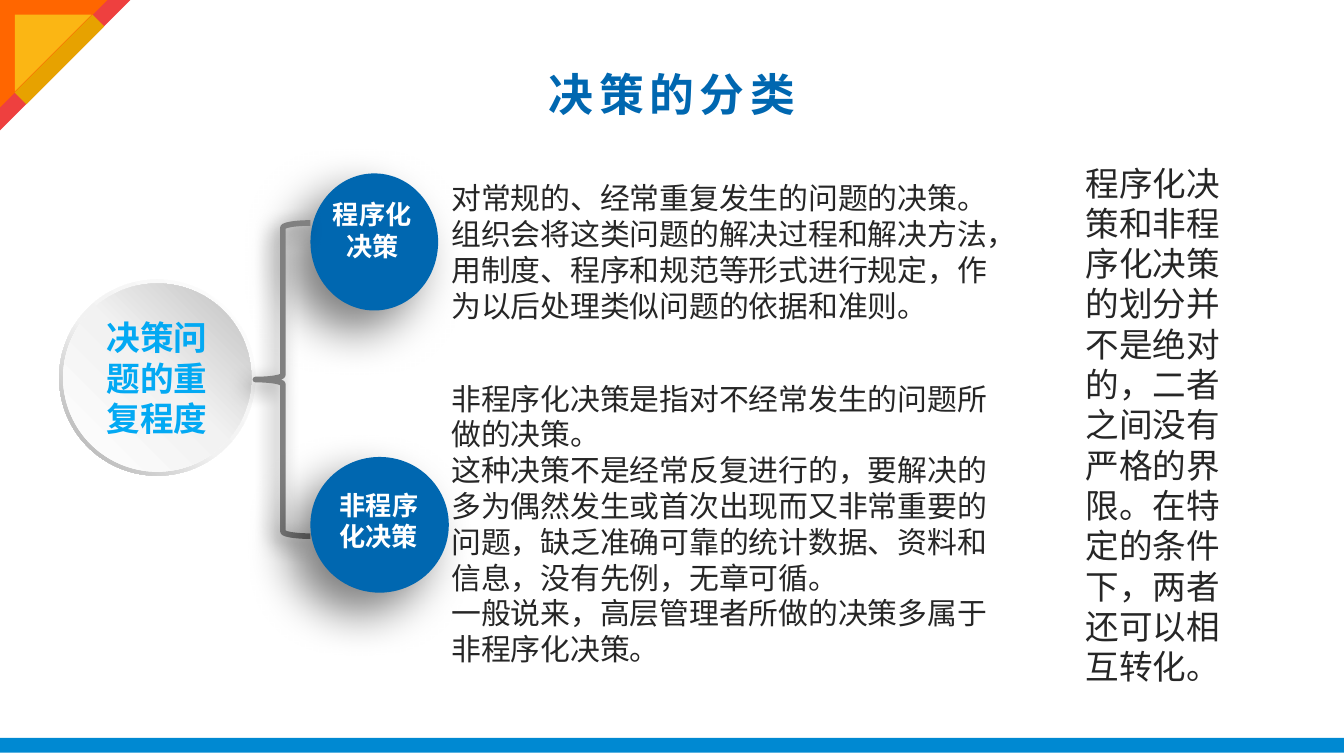
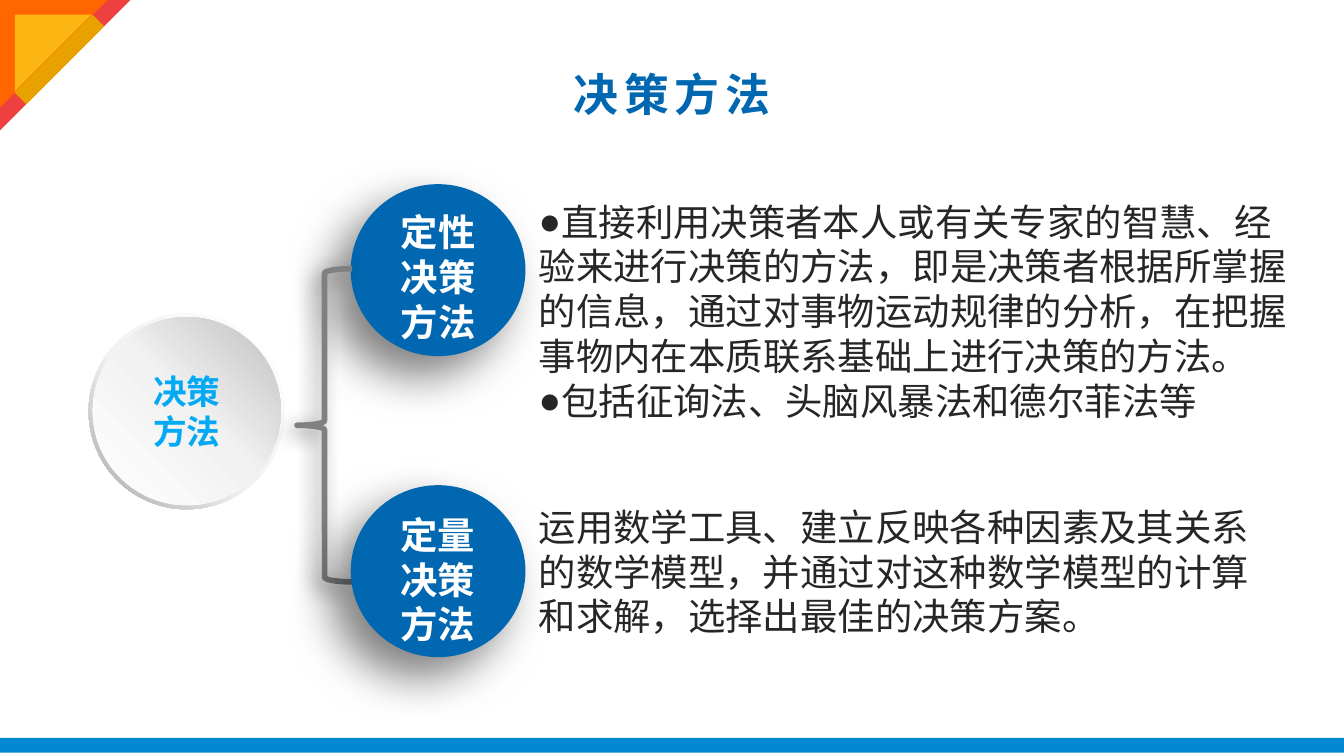
import pptx
import pptx.util
import pptx.dml.color
import pptx.enum.shapes
import pptx.enum.text
import pptx.oxml
import pptx.oxml.ns

MSO = pptx.enum.shapes.MSO_SHAPE
ALIGN = pptx.enum.text.PP_ALIGN
ANCHOR = pptx.enum.text.MSO_ANCHOR
qn = pptx.oxml.ns.qn
NS = pptx.oxml.ns.nsdecls("a")
hex_color = pptx.dml.color.RGBColor.from_string

FONT = "Arial"
BLUE, SKY, INK, WHITE, GREY = "0067B0", "03A9F3", "262626", "FFFFFF", "808080"
RIM = [(0, WHITE), (55, "F2F2F2"), (100, "A6A6A6")]
FACE = [(0, WHITE), (51, "F2F2F2"), (100, "BFBFBF")]

prs = pptx.Presentation()
prs.slide_width = pptx.util.Inches(10)
prs.slide_height = prs.slide_width * 9 // 16
COL = prs.slide_width / 100  # square grid, 100 columns across the slide


def add_item(shapes, kind, box, fill=None, stops=None, angle=0, shadow=None):
    """Add a preset shape, or a text box if kind is None; box is in grid columns."""
    x, y, w, h = [round(v * COL) for v in box]
    if kind is None:
        return shapes.add_textbox(x, y, w, h)
    s = shapes.add_shape(kind, x, y, w, h)
    s.line.fill.background()
    s.shadow.inherit = False
    if fill:
        s.fill.solid()
        s.fill.fore_color.rgb = hex_color(fill)
    elif stops:
        s.fill.gradient()
        s.fill.gradient_angle = 360 - angle
        gs_list = s._element.spPr.find(qn("a:gradFill")).find(qn("a:gsLst"))
        for gs in list(gs_list):
            gs_list.remove(gs)
        for pos, color in stops:
            gs_list.append(pptx.oxml.parse_xml(
                f'<a:gs {NS} pos="{pos * 1000}"><a:srgbClr val="{color}"/></a:gs>'))
    else:
        s.fill.background()
    if shadow:
        blur, dist = [pptx.util.Pt(v) for v in shadow]
        s._element.spPr.find(qn("a:effectLst")).append(pptx.oxml.parse_xml(
            f'<a:outerShdw {NS} blurRad="{blur}" dist="{dist}" dir="8100000" algn="tr" rotWithShape="0">'
            '<a:srgbClr val="000000"><a:alpha val="50000"/></a:srgbClr></a:outerShdw>'))
    return s


def write(s, text, size, color, heading=True, anchor=ANCHOR.TOP, bullet=None, spacing=0):
    """Fill a shape with text; headings are bold and centred, body text is plain."""
    tf = s.text_frame
    tf.text = text
    tf.word_wrap = True
    tf.vertical_anchor = anchor
    for p in tf.paragraphs:
        p.alignment = ALIGN.CENTER if heading else ALIGN.LEFT
        if bullet:
            pPr = p._p.get_or_add_pPr()
            for xml in (f'<a:buFont {NS} typeface="{FONT}"/>', f'<a:buChar {NS} char="{bullet}"/>'):
                pPr.append(pptx.oxml.parse_xml(xml))
        for r in p.runs:
            r.font.name = FONT
            r.font.size = pptx.util.Pt(size)
            r.font.bold = heading
            r.font.color.rgb = hex_color(color)
            if spacing:
                r._r.get_or_add_rPr().set("spc", str(spacing * 100))


# Each branch: circle, label box, label, body box, body text, bullet
slides = [
    dict(
        title="决策的分类", topic="决策问题的重复程度", topic_at=(4.4, 20.8),
        brace_at=(19, 16.6), label_size=14, body_size=16,
        branches=[
            ((23.1, 12.9, 9.5, 10.2), (23.1, 14.3, 9.2, 5.7), "程序化决策",
             (32.6, 12.9, 43.6, 11.8),
             "对常规的、经常重复发生的问题的决策。\n"
             "组织会将这类问题的解决过程和解决方法，用制度、程序和规范等形式进行规定，"
             "作为以后处理类似问题的依据和准则。", None),
            ((23.1, 34, 10.3, 10.1), (24.2, 35.9, 8, 5.7), "非程序化决策",
             (32.6, 27.8, 42.7, 22.5),
             "非程序化决策是指对不经常发生的问题所做的决策。\n"
             "这种决策不是经常反复进行的，要解决的多为偶然发生或首次出现而又非常重要的问题，"
             "缺乏准确可靠的统计数据、资料和信息，没有先例，无章可循。\n"
             "一般说来，高层管理者所做的决策多属于非程序化决策。", None),
        ],
        remark="程序化决策和非程序化决策的划分并不是绝对的，二者之间没有严格的界限。"
               "在特定的条件下，两者还可以相互转化。",
    ),
    dict(
        title="决策方法", topic="决策\n方法", topic_at=(6.6, 23.3),
        brace_at=(22.1, 20), label_size=20, body_size=20,
        branches=[
            ((26.1, 13.7, 13, 12.8), (28.5, 15.1, 8.2, 11.1), "定性决策方法",
             (39.1, 14.3, 59.1, 17.8),
             "直接利用决策者本人或有关专家的智慧、经验来进行决策的方法，"
             "即是决策者根据所掌握的信息，通过对事物运动规律的分析，"
             "在把握事物内在本质联系基础上进行决策的方法。\n"
             "包括征询法、头脑风暴法和德尔菲法等", "●"),
            ((26.1, 36.1, 13, 12.8), (27.6, 37.6, 9.9, 11.1), "定量决策方法",
             (39.1, 37, 55.7, 11.1),
             "运用数学工具、建立反映各种因素及其关系的数学模型，"
             "并通过对这种数学模型的计算和求解，选择出最佳的决策方案。", None),
        ],
        remark=None,
    ),
]

# Footer band and corner ornament: kind, box, rotation, colour
frame = [
    (MSO.RECTANGLE, (0, 54.9, 100, 1.1), 0, "0089D2"),
    (MSO.RIGHT_TRIANGLE, (0, 0, 9.7, 9.7), 90, "EE403F"),
    (MSO.RIGHT_TRIANGLE, (0, 0, 8, 8), 90, "FF6600"),
    (MSO.RIGHT_TRIANGLE, (1.1, 1.1, 5.7, 5.7), 90, "FBB614"),
    (MSO.RECTANGLE, (3.8, 0.32, 1.24, 8.2), 45, "E7A200"),
]

for content in slides:
    shapes = prs.slides.add_slide(prs.slide_layouts[6]).shapes

    # Topic disc with its rim
    x, y = content["topic_at"]
    disc = shapes.add_group_shape().shapes
    rim = add_item(disc, MSO.DONUT, (x, y, 14.6, 14.6), stops=RIM, angle=135)
    rim.adjustments[0] = 0.049
    face = add_item(disc, MSO.OVAL, (x + 0.3, y + 0.3, 14, 14), stops=FACE, angle=315)
    write(face, content["topic"], 18, SKY, anchor=ANCHOR.MIDDLE)

    # Branch circles, with the brace between them in stacking order
    upper, lower = content["branches"]
    add_item(shapes, MSO.OVAL, upper[0], BLUE, shadow=(25, 15))
    brace = add_item(shapes, MSO.LEFT_BRACE, (*content["brace_at"], 4.1, 23.3), shadow=(11, 5))
    brace.line.color.rgb = hex_color(GREY)
    brace.line.width = pptx.util.Pt(3)
    add_item(shapes, MSO.OVAL, lower[0], BLUE, shadow=(25, 15))

    for circle, label_box, label, body_box, body, bullet in content["branches"]:
        write(add_item(shapes, None, label_box), label, content["label_size"], WHITE)
        write(add_item(shapes, None, body_box), body, content["body_size"], INK,
              heading=False, bullet=bullet)

    for kind, box, rotation, color in frame:
        add_item(shapes, kind, box, color).rotation = rotation

    if content["remark"]:
        write(add_item(shapes, None, (79.8, 11.6, 13.2, 40.4)), content["remark"], 18, INK,
              heading=False)
    write(add_item(shapes, None, (5, 2.3, 90, 9.4)), content["title"], 24, BLUE,
          anchor=ANCHOR.MIDDLE, spacing=3)

prs.save("out.pptx")
